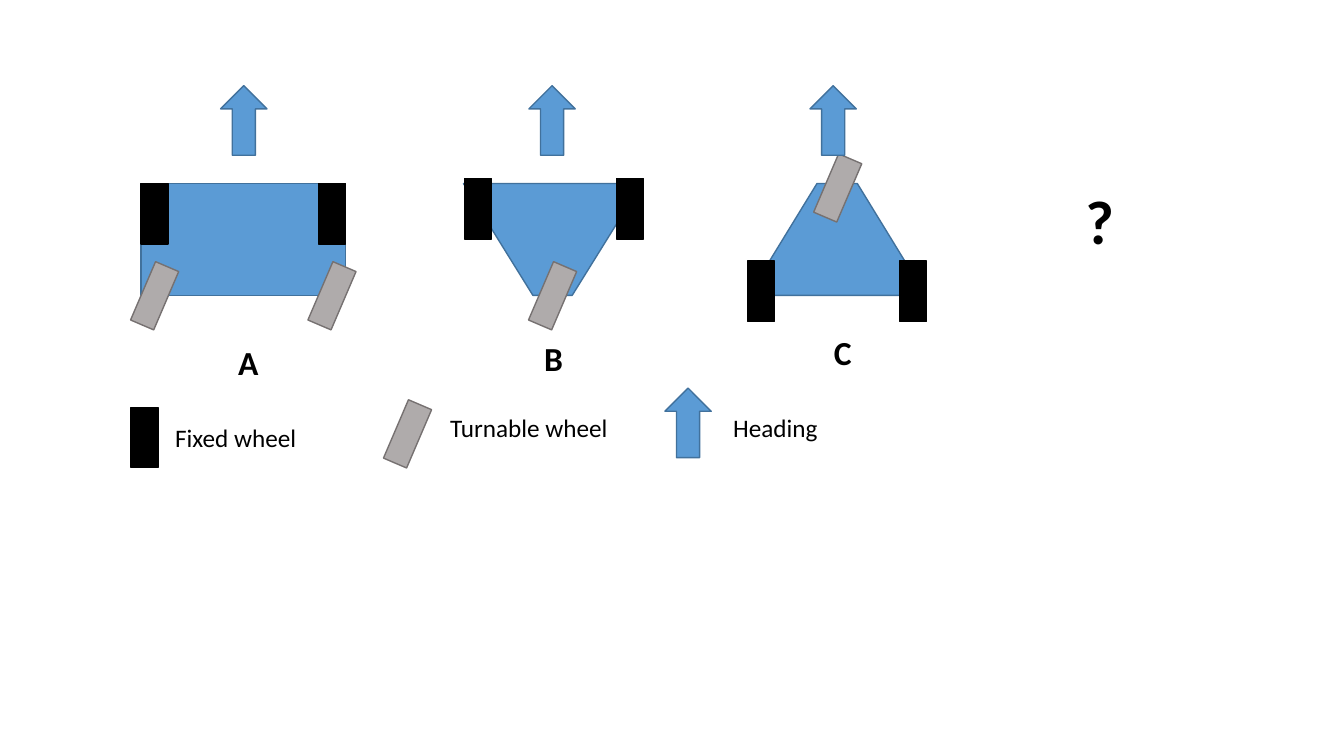
import pptx
import pptx.dml.color
import pptx.enum.shapes
import pptx.enum.text
import pptx.util
from dataclasses import dataclass

Inches = pptx.util.Inches
Shape = pptx.enum.shapes.MSO_SHAPE
Align = pptx.enum.text.PP_ALIGN


@dataclass(frozen=True)
class Theme:
    font: str = "Calibri"
    text: str = "000000"
    body_fill: str = "5B9BD5"
    body_line: str = "41719C"
    fixed_wheel: str = "000000"
    turnable_fill: str = "AFABAB"
    turnable_line: str = "767171"
    line_width: float = 1
    legend_size: int = 18
    label_size: int = 24
    question_size: int = 44


class RobotSlide:
    def __init__(self, slide, theme):
        self.shapes = slide.shapes
        self.theme = theme

    def paint(self, shape, fill, line):
        shape.shadow.inherit = False
        shape.fill.solid()
        shape.fill.fore_color.rgb = pptx.dml.color.RGBColor.from_string(fill)
        shape.line.color.rgb = pptx.dml.color.RGBColor.from_string(line)
        shape.line.width = pptx.util.Pt(self.theme.line_width)

    def preset(self, kind, left, top, width, height, fill, line):
        shape = self.shapes.add_shape(
            kind, Inches(left), Inches(top), Inches(width), Inches(height))
        self.paint(shape, fill, line)
        return shape

    def rectangle_body(self, left, top, width, height):
        self.preset(Shape.RECTANGLE, left, top, width, height,
                    self.theme.body_fill, self.theme.body_line)

    def polygon_body(self, points):
        corners = [(Inches(x), Inches(y)) for x, y in points]
        builder = self.shapes.build_freeform(*corners[0], scale=1.0)
        builder.add_line_segments(corners[1:], close=True)
        self.paint(builder.convert_to_shape(), self.theme.body_fill, self.theme.body_line)

    def fixed_wheel(self, left, top):
        self.preset(Shape.RECTANGLE, left, top, 0.27, 0.6,
                    self.theme.fixed_wheel, self.theme.fixed_wheel)

    def turnable_wheel(self, left, top):
        wheel = self.preset(Shape.RECTANGLE, left, top, 0.25, 0.63,
                            self.theme.turnable_fill, self.theme.turnable_line)
        wheel.rotation = 23.2

    def heading_arrow(self, left, top):
        self.preset(Shape.UP_ARROW, left, top, 0.46, 0.69,
                    self.theme.body_fill, self.theme.body_line)

    def text(self, text, left, top, width=0.73, height=0.5, *, size,
             bold=False, align=Align.LEFT):
        box = self.shapes.add_textbox(
            Inches(left), Inches(top), Inches(width), Inches(height))
        box.text_frame.word_wrap = True
        para = box.text_frame.paragraphs[0]
        para.alignment = align
        span = para.add_run()
        span.text = text
        span.font.name = self.theme.font
        span.font.size = pptx.util.Pt(size)
        span.font.bold = bold
        span.font.color.rgb = pptx.dml.color.RGBColor.from_string(self.theme.text)

    def label(self, text, left, top):
        self.text(text, left, top, size=self.theme.label_size, bold=True, align=Align.CENTER)

    def legend(self, draw_symbol, symbol_at, text, text_at, width):
        draw_symbol(*symbol_at)
        self.text(text, *text_at, width, 0.4, size=self.theme.legend_size)


def main():
    deck = pptx.Presentation()
    deck.slide_width, deck.slide_height = Inches(13.34), Inches(7.5)
    theme = Theme()
    page = RobotSlide(deck.slides.add_slide(deck.slide_layouts[6]), theme)
    body_top, body_bottom = 1.82, 2.93
    arrow_top, rear_wheel_top = 0.85, 2.62

    # Robot A: four wheels, turnable pair at the rear
    page.rectangle_body(1.4, body_top, 2.03, body_bottom - body_top)
    for left in (1.4, 3.16):
        page.fixed_wheel(left, body_top)
        page.turnable_wheel(left + 0.01, rear_wheel_top)
    page.heading_arrow(2.19, arrow_top)
    page.label("A", 2.1, 3.34)

    # Robot B: three wheels, turnable wheel at the rear
    page.polygon_body([(4.6, body_top), (5.29, body_bottom),
                       (5.68, body_bottom), (6.37, body_top)])
    page.turnable_wheel(5.36, rear_wheel_top)
    for left in (4.61, 6.12):
        page.fixed_wheel(left, 1.77)
    page.heading_arrow(5.25, arrow_top)
    page.label("B", 5.13, 3.3)

    # Robot C: three wheels, turnable wheel at the front
    page.polygon_body([(7.43, body_bottom), (8.11, body_top),
                       (8.51, body_top), (9.19, body_bottom)])
    page.turnable_wheel(8.19, 1.55)
    for left in (7.42, 8.93):
        page.fixed_wheel(left, 2.59)
    page.heading_arrow(8.04, arrow_top)
    page.label("C", 8, 3.24)

    page.text("?", 10.55, 1.77, height=0.84, size=theme.question_size,
              bold=True, align=Align.CENTER)

    page.legend(page.fixed_wheel, (1.3, 4.04), "Fixed wheel", (1.64, 4.14), 1.66)
    page.legend(page.turnable_wheel, (3.92, 3.99), "Turnable wheel", (4.37, 4.04), 2.22)
    page.legend(page.heading_arrow, (6.6, 3.85), "Heading", (7.18, 4.04), 1.66)

    deck.save("out.pptx")


if __name__ == "__main__":
    main()
